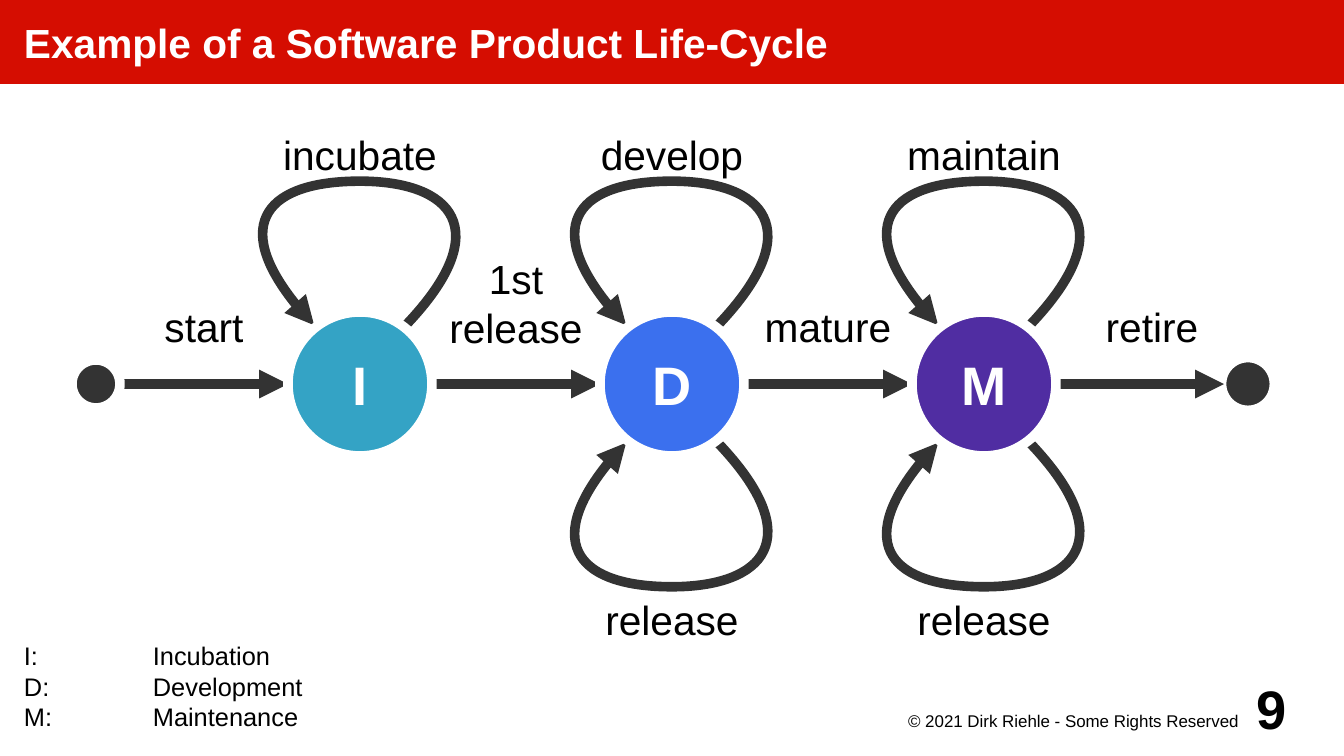
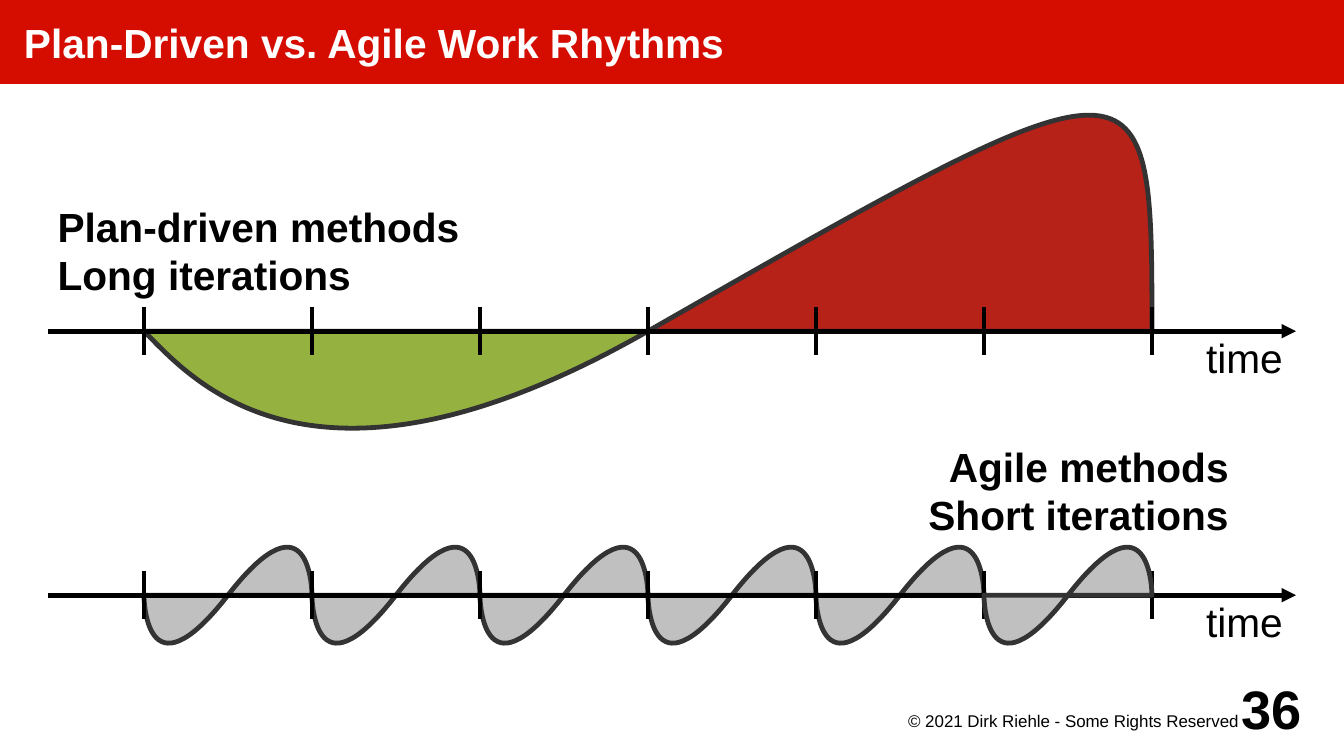
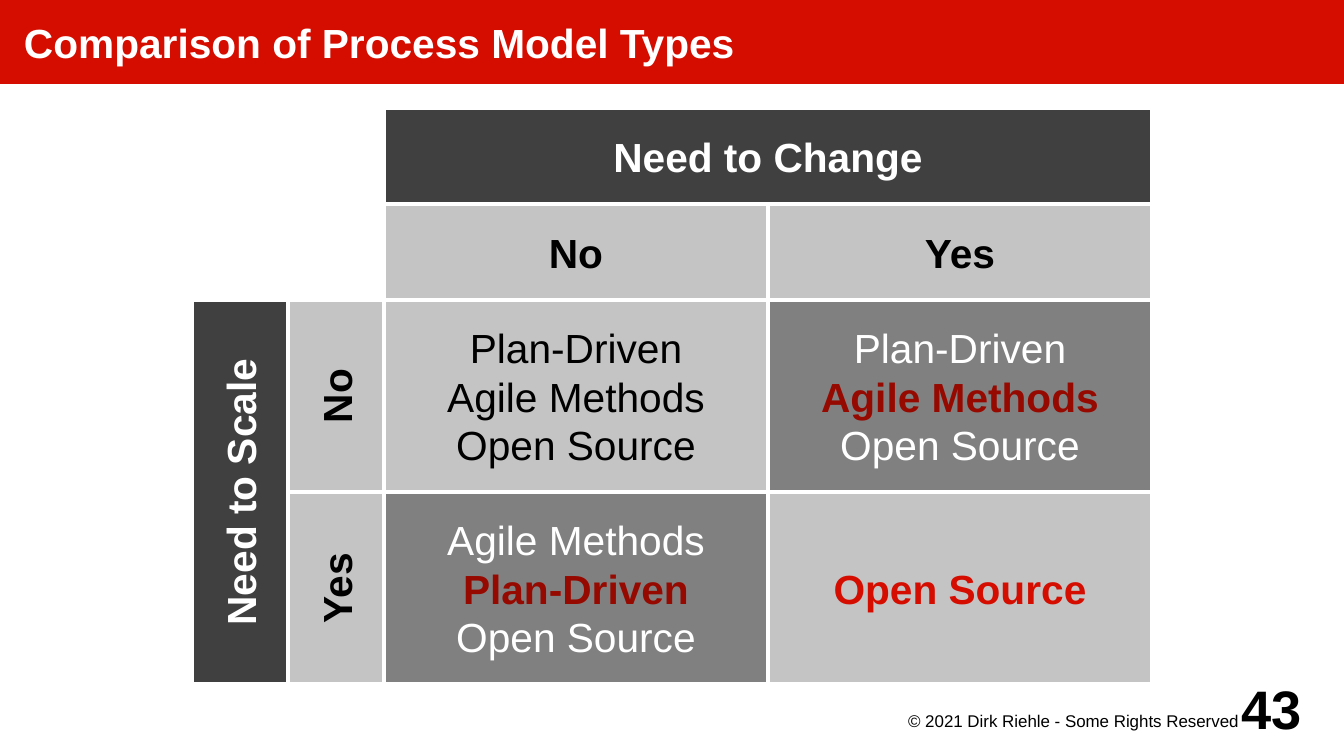
from dataclasses import dataclass
from typing import NamedTuple

from lxml.etree import SubElement
from pptx import Presentation
from pptx.dml.color import RGBColor
from pptx.enum.shapes import MSO_CONNECTOR, MSO_SHAPE
from pptx.enum.text import MSO_ANCHOR as Anchor, MSO_AUTO_SIZE, PP_ALIGN as Align
from pptx.oxml.ns import qn
from pptx.util import Cm, Pt

COLUMNS, ROWS = 56, 31.5  # slide size in grid cells of half a centimetre


@dataclass(frozen=True)
class Theme:
    font: str = "Arial"
    red: str = "D50D01"
    dark_red: str = "960900"
    hill: str = "B62118"
    valley: str = "95B241"
    wave: str = "C0C0C0"
    incubation: str = "34A3C5"
    development: str = "3B70EE"
    maintenance: str = "502DA2"
    ink: str = "333333"
    header: str = "404040"
    mid_grey: str = "808080"
    light_grey: str = "C4C4C4"
    black: str = "000000"
    white: str = "FFFFFF"
    big: int = 32
    body: int = 24
    legend: int = 15
    small: int = 10
    thin: float = 2.83
    thick: float = 5.67


THEME = Theme()


class Box(NamedTuple):
    """A region of the slide in grid cells."""
    left: float
    top: float
    width: float
    height: float

    @property
    def right(self):
        return self.left + self.width

    @property
    def bottom(self):
        return self.top + self.height

    @property
    def mid_y(self):
        return self.top + self.height / 2

    def lengths(self):
        return [cells(value) for value in self]


def cells(count):
    return Cm(count / 2)


def rgb(value):
    return RGBColor.from_string(value)


def write(frame, lines, size=THEME.body, color=THEME.black, bold=False,
          align=Align.CENTER, anchor=Anchor.MIDDLE, insets=(0.4,) * 4, tab=None):
    """Fill a frame; a line is a string or a (string, color, bold) tuple."""
    frame.word_wrap = True
    frame.auto_size = MSO_AUTO_SIZE.NONE
    frame.vertical_anchor = anchor
    (frame.margin_left, frame.margin_top,
     frame.margin_right, frame.margin_bottom) = map(cells, insets)
    for index, line in enumerate(lines):
        words, line_color, line_bold = (
            (line, color, bold) if isinstance(line, str) else line)
        paragraph = frame.paragraphs[0] if index == 0 else frame.add_paragraph()
        paragraph.alignment = align
        if tab:
            tabs = SubElement(paragraph._p.get_or_add_pPr(), qn("a:tabLst"))
            SubElement(tabs, qn("a:tab"), pos=str(tab), algn="l")
        run = paragraph.add_run()
        run.text = words
        font = run.font
        font.name, font.size, font.bold = THEME.font, Pt(size), line_bold
        font.color.rgb = rgb(line_color)


def add_text(slide, box, *lines, **style):
    write(slide.shapes.add_textbox(*box.lengths()).text_frame, lines, **style)


def style_line(line, color, width, arrow=False):
    line.color.rgb = rgb(color)
    line.width = Pt(width)
    if arrow:
        SubElement(line._get_or_add_ln(), qn("a:tailEnd"), type="triangle")


def add_block(slide, kind, box, fill, *lines, border=THEME.thin, rotation=0, **style):
    block = slide.shapes.add_shape(kind, *box.lengths())
    block.shadow.inherit = False
    block.fill.solid()
    block.fill.fore_color.rgb = rgb(fill)
    style_line(block.line, THEME.white, border)
    block.rotation = rotation
    if lines:
        write(block.text_frame, lines, **style)


def add_line(slide, x1, y1, x2, y2, color=THEME.black, width=THEME.thin, arrow=False):
    line = slide.shapes.add_connector(
        MSO_CONNECTOR.STRAIGHT, *map(cells, (x1, y1, x2, y2)))
    style_line(line.line, color, width, arrow)
    SubElement(line._element.spPr, qn("a:effectLst"))


def add_curve(slide, points, fill=None, width=THEME.thin, arrow=False):
    """Draw Bezier curves: a start, then two controls and an end for each.

    A filled curve is closed.
    """
    start, *rest = [(cells(x), cells(y)) for x, y in points]
    builder = slide.shapes.build_freeform(*start)
    builder.add_line_segments(rest, close=fill is not None)
    curve = builder.convert_to_shape()
    segments = list(curve._element.iter(qn("a:lnTo")))
    for first, second, third in zip(*[iter(segments)] * 3):
        first.tag = qn("a:cubicBezTo")
        for segment in (second, third):
            first.append(segment[0])
            segment.getparent().remove(segment)
    curve.shadow.inherit = False
    if fill:
        curve.fill.solid()
        curve.fill.fore_color.rgb = rgb(fill)
    else:
        curve.fill.background()
    style_line(curve.line, THEME.ink, width, arrow)


def add_slide(deck, title, number):
    """Add a slide with the shared title band and footer."""
    slide = deck.slides.add_slide(deck.slide_layouts[5])
    band = slide.shapes.title
    band.left, band.top, band.width, band.height = Box(0, 0, COLUMNS, 3.5).lengths()
    band.fill.solid()
    band.fill.fore_color.rgb = rgb(THEME.red)
    write(band.text_frame, [title], color=THEME.white, bold=True,
          align=Align.LEFT, insets=(1, 0, 0, 0))
    add_text(slide, Box(36, ROWS - 2, 16, 1.5),
             "© 2021 Dirk Riehle - Some Rights Reserved", size=THEME.small,
             align=Align.RIGHT, anchor=Anchor.TOP, insets=(0, 0.1, 0.4, 0))
    add_text(slide, Box(51, ROWS - 3.5, 4, 3), number, size=THEME.big,
             bold=True, insets=(0,) * 4)
    return slide


def add_loop(slide, center, mid_y, side, label):
    """Draw a loop above (side -1) or below (side 1) a phase, and its label."""
    offsets = [(1.91, 2.45), (5.73, 6.45), (3.82, 8.45), (0, 8.45),
               (-3.82, 8.45), (-5.73, 6.45), (-1.91, 2.45)]
    add_curve(slide, [(center + dx, mid_y + side * dy) for dx, dy in offsets],
              width=THEME.thick, arrow=True)
    top = mid_y + (8.4 if side > 0 else -11)
    add_text(slide, Box(center - 4, top, 8, 3), label, anchor=Anchor.TOP)


def life_cycle(slide, area):
    step, dot, gap, phase = 13, 2, 7, 6
    mid_y = area.mid_y
    dot_top = mid_y - dot / 2
    phases = [("I", THEME.incubation, "incubate", None),
              ("D", THEME.development, "develop", "release"),
              ("M", THEME.maintenance, "maintain", "release")]
    moves = [("start",), ("1st", "release"), ("mature",), ("retire",)]

    add_block(slide, MSO_SHAPE.OVAL, Box(area.right - dot, dot_top, dot, dot),
              THEME.ink)
    for index, words in enumerate(moves):
        left = area.left + dot + index * step
        add_line(slide, left, mid_y, left + gap, mid_y, THEME.ink,
                 THEME.thick, arrow=True)
        height = 1 + 2 * len(words)
        width = gap + 1 if words == moves[-1] else gap
        add_text(slide, Box(left, mid_y - 0.9 - height, width, height), *words)
    for index, (letter, color, above, below) in enumerate(phases):
        left = area.left + dot + gap + index * step
        center = left + phase / 2
        add_loop(slide, center, mid_y, -1, above)
        if below:
            add_loop(slide, center, mid_y, 1, below)
        add_block(slide, MSO_SHAPE.OVAL,
                  Box(left, mid_y - phase / 2, phase, phase), color, letter,
                  border=THEME.thick, size=THEME.big, color=THEME.white, bold=True)
    add_block(slide, MSO_SHAPE.OVAL, Box(area.left, dot_top, dot, dot),
              THEME.ink, border=THEME.thick)


ITERATION, ITERATIONS, LEAD = 7, 6, 4


def time_axis(slide, area):
    add_line(slide, area.left, area.mid_y, area.right, area.mid_y, arrow=True)
    add_text(slide, Box(area.right - 5, area.mid_y + 0.1, 4.85, 1.95), "time",
             align=Align.RIGHT)
    for index in range(ITERATIONS + 1):
        x = area.left + LEAD + index * ITERATION
        add_line(slide, x, area.top, x, area.bottom)


def plan_rhythm(slide, area):
    start, y = area.left + LEAD, area.mid_y
    middle, end = start + 3 * ITERATION, start + 6 * ITERATION
    add_curve(slide, [(middle, y), (end, y - 12), (end, y - 12), (end, y)],
              fill=THEME.hill)
    add_curve(slide, [(start, y), (start + 2, y + 2), (start + 7, y + 8), (middle, y)],
              fill=THEME.valley)
    time_axis(slide, area)


def agile_rhythm(slide, area):
    y, swing = area.mid_y, 4.5
    for index in range(ITERATIONS):
        if index == ITERATIONS - 1:
            time_axis(slide, area)  # the last wave lies over the axis
        start = area.left + LEAD + index * ITERATION
        middle, end = start + ITERATION / 2, start + ITERATION
        add_curve(slide, [(start, y), (start, y), (start, y + swing), (middle, y),
                          (end, y - swing), (end, y), (end, y)], fill=THEME.wave)


def comparison(slide, area):
    """Draw the matrix: headers one strip thick, then two by two fields."""
    strip, wide, tall = 4, 16, 8
    left, top = area.left + 2 * strip, area.top + 2 * strip

    def field(box, fill, *lines, **style):
        add_block(slide, MSO_SHAPE.RECTANGLE, box, fill, *lines, **style)

    def upright(box, fill, *lines, **style):
        turned = Box(box.left + (box.width - box.height) / 2,
                     box.top + (box.height - box.width) / 2, box.height, box.width)
        field(turned, fill, *lines, rotation=270, **style)

    field(Box(left, area.top, 2 * wide, strip), THEME.header, "Need to Change",
          color=THEME.white, bold=True)
    upright(Box(area.left, top, strip, 2 * tall), THEME.header, "Need to Scale",
            color=THEME.white, bold=True)
    for index, answer in enumerate(("No", "Yes")):
        field(Box(left + index * wide, area.top + strip, wide, strip),
              THEME.light_grey, answer, bold=True)
        upright(Box(area.left + strip, top + index * tall, strip, tall),
                THEME.light_grey, answer, bold=True)

    plan, agile, open_source = "Plan-Driven", "Agile Methods", "Open Source"
    fields = [
        [(THEME.light_grey, THEME.black, [plan, agile, open_source]),
         (THEME.mid_grey, THEME.white,
          [plan, (agile, THEME.dark_red, True), open_source])],
        [(THEME.mid_grey, THEME.white,
          [agile, (plan, THEME.dark_red, True), open_source]),
         (THEME.light_grey, THEME.black, [(open_source, THEME.red, True)])],
    ]
    for row, pair in enumerate(fields):
        for column, (fill, color, lines) in enumerate(pair):
            field(Box(left + column * wide, top + row * tall, wide, tall),
                  fill, *lines, color=color)


def main():
    deck = Presentation()
    deck.slide_width, deck.slide_height = cells(COLUMNS), cells(ROWS)

    cycle = add_slide(deck, "Example of a Software Product Life-Cycle", "9")
    add_text(cycle, Box(0, ROWS - 8, 40, 8), "I:\t Incubation", "D:\t Development",
             "M:\t Maintenance", size=THEME.legend, align=Align.LEFT,
             anchor=Anchor.BOTTOM, insets=(1,) * 4, tab=Cm(2.54))
    life_cycle(cycle, Box(3, 5, 50, 22))

    rhythms = add_slide(deck, "Plan-Driven vs. Agile Work Rhythms", "36")
    plan_rhythm(rhythms, Box(2, 12.8, 52, 2))
    agile_rhythm(rhythms, Box(2, 23.8, 52, 2))
    add_text(rhythms, Box(36, 18, 18, 5), "Agile methods", "Short iterations",
             bold=True, align=Align.RIGHT, anchor=Anchor.TOP,
             insets=(0.4, 0.4, 2.8, 0.4))
    add_text(rhythms, Box(2, 8, 18, 5), "Plan-driven methods", "Long iterations",
             bold=True, align=Align.LEFT, anchor=Anchor.TOP)

    types = add_slide(deck, "Comparison of Process Model Types", "43")
    comparison(types, Box(8, 4.5, 40, 24))

    deck.save("out.pptx")


if __name__ == "__main__":
    main()
